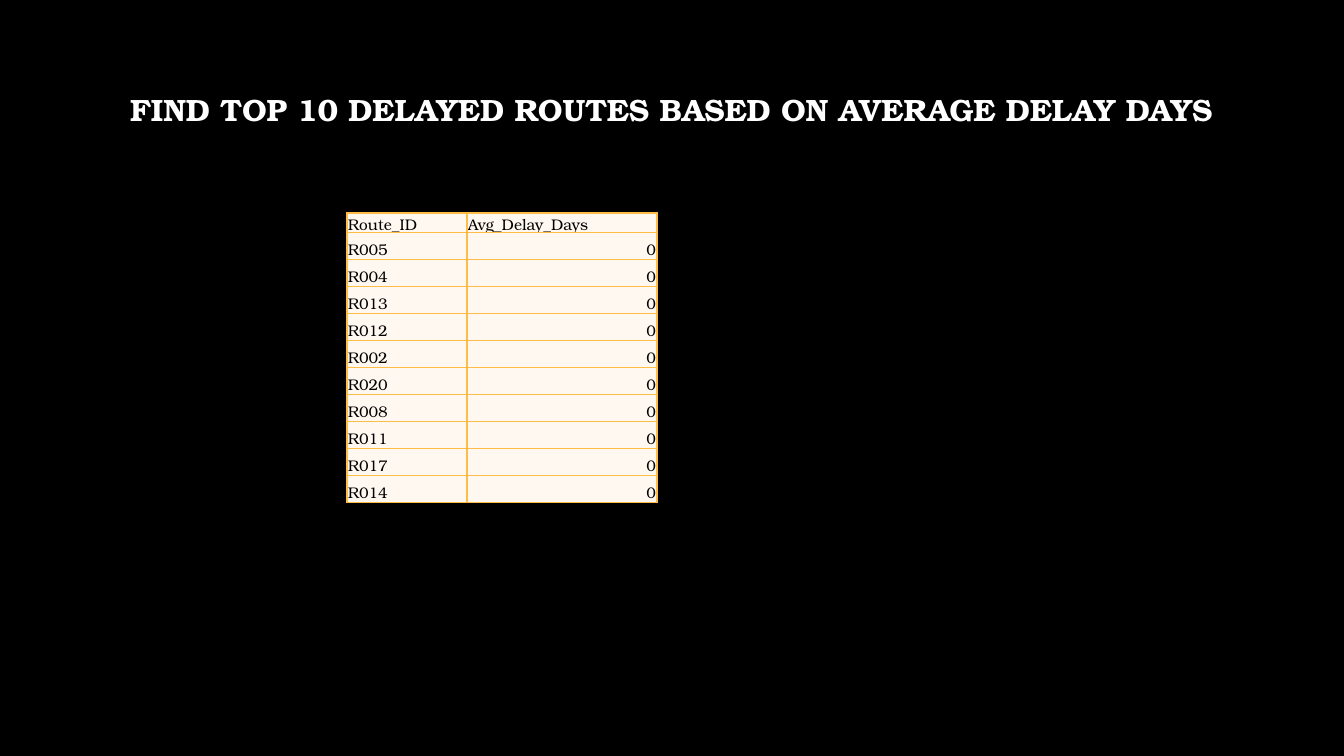
from lxml import etree
from pptx import Presentation
from pptx.dml.color import RGBColor
from pptx.enum.text import MSO_ANCHOR, PP_ALIGN
from pptx.oxml.ns import qn
from pptx.util import Pt

# Content
TITLE = "FIND TOP 10 DELAYED ROUTES BASED ON AVERAGE DELAY DAYS"
HEADER = ("Route_ID", "Avg_Delay_Days")
DELAYS = [
    ("R005", 0), ("R004", 0), ("R013", 0), ("R012", 0), ("R002", 0),
    ("R020", 0), ("R008", 0), ("R011", 0), ("R017", 0), ("R014", 0),
]

# Look
FONT = "TeX Gyre Bonum"
BLACK = RGBColor(0x00, 0x00, 0x00)
WHITE = RGBColor(0xFF, 0xFF, 0xFF)
CREAM = RGBColor(0xFF, 0xF8, 0xF1)
AMBER = RGBColor(0xFF, 0xBD, 0x47)
LEFT, CENTER, RIGHT = PP_ALIGN.LEFT, PP_ALIGN.CENTER, PP_ALIGN.RIGHT
MIDDLE, BOTTOM = MSO_ANCHOR.MIDDLE, MSO_ANCHOR.BOTTOM

# Layout in px
SLIDE_W, SLIDE_H = 1344, 756
TITLE_BOX = (101, 68, 1141, 146)
TITLE_BOTTOM_INSET = 63
TABLE_LEFT, TABLE_TOP = 347, 213
COLUMN_WIDTHS = (120, 190)
HEADER_HEIGHT, ROW_HEIGHT = 18, 27


def px(length):
    return round(length * 914400 / 100.8)


def style_text(paragraph, size, color, align, bold=False):
    paragraph.alignment = align
    for run in paragraph.runs:
        run.font.name = FONT
        run.font.size = Pt(size)
        run.font.bold = bold
        run.font.color.rgb = color


def add_borders(cell):
    properties = cell._tc.get_or_add_tcPr()
    for position, side in enumerate(("a:lnL", "a:lnR", "a:lnT", "a:lnB")):
        line = etree.Element(qn(side), w=str(Pt(1)))
        fill = etree.SubElement(line, qn("a:solidFill"))
        etree.SubElement(fill, qn("a:srgbClr"), val=str(AMBER))
        properties.insert(position, line)


def add_title(slide):
    frame = slide.shapes.add_textbox(*map(px, TITLE_BOX)).text_frame
    frame.word_wrap = True
    frame.vertical_anchor = MIDDLE
    frame.margin_bottom = px(TITLE_BOTTOM_INSET)
    frame.text = TITLE
    frame.paragraphs[0].line_spacing = 0.9
    style_text(frame.paragraphs[0], 22, WHITE, CENTER, bold=True)


def add_delay_table(slide):
    rows = [HEADER] + DELAYS
    heights = [HEADER_HEIGHT] + [ROW_HEIGHT] * len(DELAYS)
    table = slide.shapes.add_table(
        len(rows), len(HEADER), px(TABLE_LEFT), px(TABLE_TOP),
        px(sum(COLUMN_WIDTHS)), px(sum(heights))).table
    for column, width in zip(table.columns, COLUMN_WIDTHS):
        column.width = px(width)
    for r, (values, height) in enumerate(zip(rows, heights)):
        table.rows[r].height = px(height)
        for c, value in enumerate(values):
            cell = table.cell(r, c)
            cell.text = str(value)
            cell.vertical_anchor = BOTTOM
            cell.margin_left = cell.margin_right = cell.margin_top = px(1)
            cell.margin_bottom = 0
            cell.fill.solid()
            cell.fill.fore_color.rgb = CREAM
            add_borders(cell)
            align = RIGHT if isinstance(value, int) else LEFT
            style_text(cell.text_frame.paragraphs[0], 11, BLACK, align)


def main():
    deck = Presentation()
    deck.slide_width, deck.slide_height = px(SLIDE_W), px(SLIDE_H)
    slide = deck.slides.add_slide(deck.slide_layouts[6])
    slide.background.fill.solid()
    slide.background.fill.fore_color.rgb = BLACK
    add_title(slide)
    add_delay_table(slide)
    deck.save("out.pptx")


if __name__ == "__main__":
    main()
